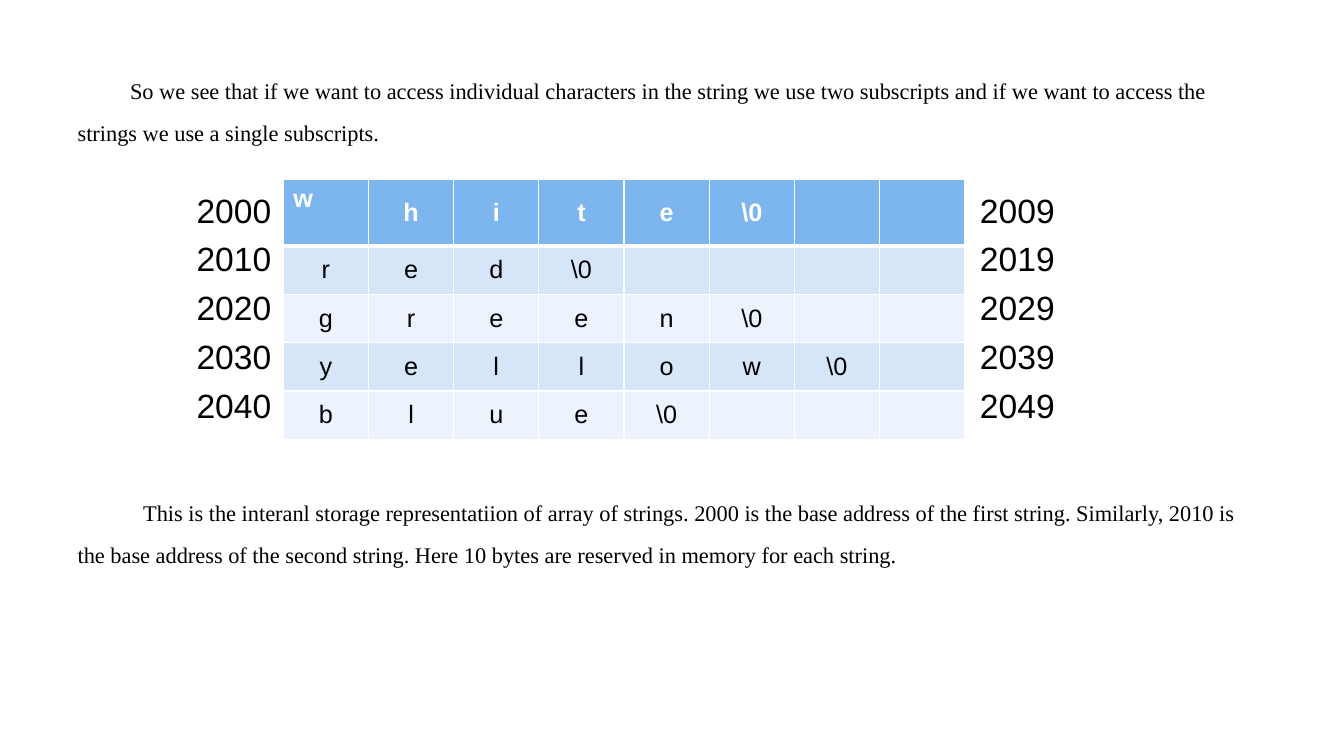
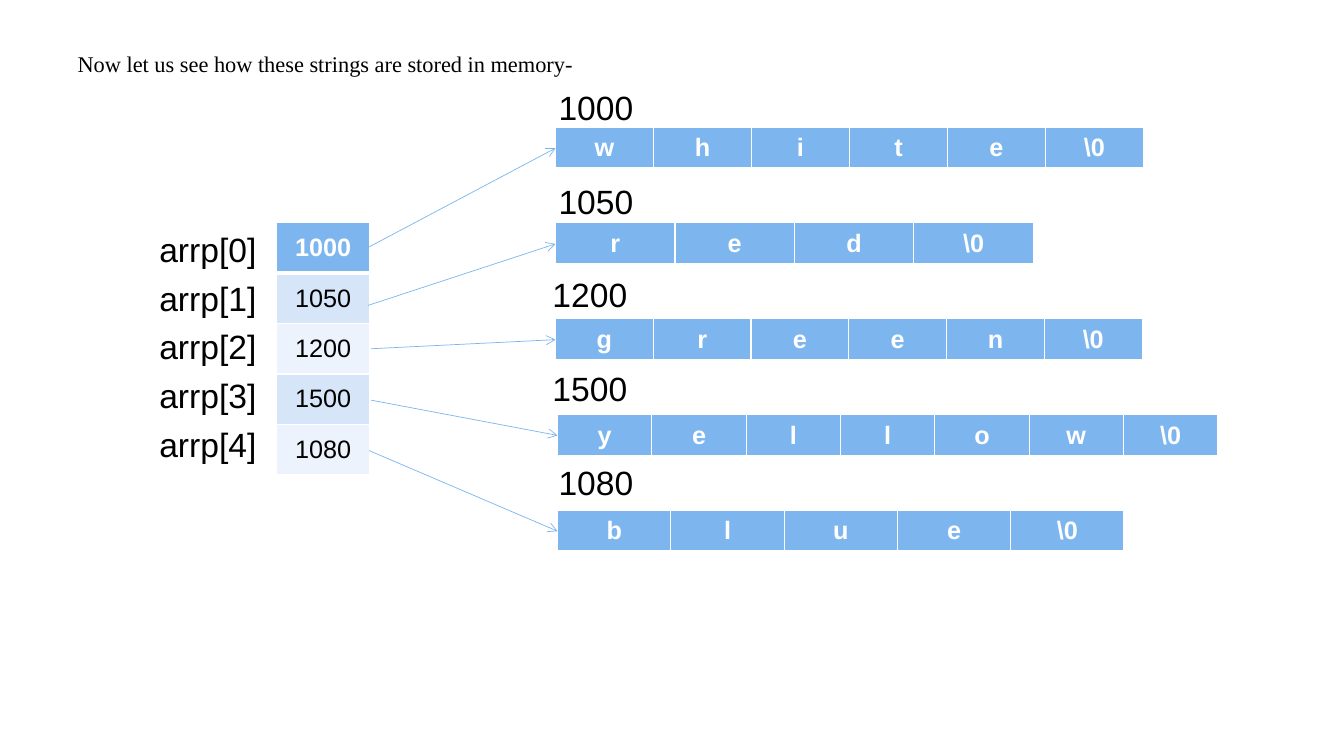
import pptx
import pptx.util
import pptx.dml.color
import pptx.enum.text
import pptx.enum.shapes
import pptx.oxml
import pptx.oxml.ns

Inches = pptx.util.Inches
Pt = pptx.util.Pt
ALIGN = pptx.enum.text.PP_ALIGN
ANCHOR = pptx.enum.text.MSO_ANCHOR

HUES = {"ink": "000000", "head": "7DB6EF", "odd": "D7E5F9", "even": "ECF3FC", "white": "FFFFFF"}
SANS, SERIF = "Arial", "Times New Roman"
NSDECL = pptx.oxml.ns.nsdecls("a")
END = "\\0"
WORDS = ["white", "red", "green", "yellow", "blue"]


def hue(name):
    return pptx.dml.color.RGBColor.from_string(HUES[name])


def add_run(para, text, face, size, tint="ink", bold=False):
    run = para.add_run()
    run.text = text
    font = run.font
    font.name, font.size, font.bold = face, Pt(size), bold
    font.color.rgb = hue(tint)


def add_frame(slide, box, wrap):
    frame = slide.shapes.add_textbox(*map(Inches, box)).text_frame
    frame.word_wrap = wrap
    frame.margin_left = frame.margin_right = frame.margin_top = frame.margin_bottom = 0
    return frame


def add_prose(slide, box, text, indent=0):
    para = add_frame(slide, box, True).paragraphs[0]
    para.line_spacing = Pt(30)
    para._p.get_or_add_pPr().set("indent", str(Inches(indent)))
    add_run(para, text, SERIF, 16)


def add_list(slide, box, lines):
    frame = add_frame(slide, box, False)
    for i, line in enumerate(lines):
        para = frame.add_paragraph() if i else frame.paragraphs[0]
        if i:
            para.space_before = Pt(6)
        add_run(para, line, SANS, 24)


def add_edges(cell, base):
    props = cell._tc.get_or_add_tcPr()
    for i, side in enumerate("LRTB"):
        width = Pt(base if side == "B" else 1)
        props.insert(i, pptx.oxml.parse_xml(
            f'<a:ln{side} {NSDECL} w="{width}"><a:solidFill>'
            f'<a:srgbClr val="{HUES["white"]}"/></a:solidFill></a:ln{side}>'))


def add_grid(slide, box, rows, tall=None):
    x, y, w, h = box
    count = len(rows[0])
    grid = slide.shapes.add_table(len(rows), count, *map(Inches, box)).table
    for col in grid.columns:
        col.width = Inches(w / count)
    for i, row in enumerate(rows):
        high = h / len(rows)
        if tall:
            high = (h - tall) / (len(rows) - 1) if i else tall
        grid.rows[i].height = Inches(high)
        for j, text in enumerate(row):
            cell = grid.cell(i, j)
            cell.vertical_anchor = ANCHOR.MIDDLE
            cell.fill.solid()
            cell.fill.fore_color.rgb = hue("head" if i == 0 else "odd" if i % 2 else "even")
            add_edges(cell, 1 if i else 3)
            para = cell.text_frame.paragraphs[0]
            para.alignment = ALIGN.CENTER
            if text:
                add_run(para, text, SANS, 18, "ink" if i else "white", i == 0)
    return grid


def add_arrow(slide, start, stop):
    line = slide.shapes.add_connector(
        pptx.enum.shapes.MSO_CONNECTOR.STRAIGHT, *map(Inches, start + stop))
    line.line.color.rgb = hue("head")
    line.line.width = Pt(0.5)
    line.line._get_or_add_ln().append(
        pptx.oxml.parse_xml(f'<a:tailEnd {NSDECL} type="arrow"/>'))
    line._element.spPr.append(pptx.oxml.parse_xml(f"<a:effectLst {NSDECL}/>"))


def spell(word, size=0):
    marks = list(word) + [END]
    return marks + [""] * (size - len(marks))


def build_block(slide, box):
    x, y, w, h = box
    grid = add_grid(slide, box, [spell(word, 8) for word in WORDS], 0.66)
    first = grid.cell(0, 0)
    first.vertical_anchor = ANCHOR.TOP
    first.text_frame.paragraphs[0].alignment = ALIGN.LEFT
    bases = range(2000, 2050, 10)
    for left, shift in ((x - 0.86, 0), (x + w + 0.15, 9)):
        add_list(slide, (left, y + 0.1, 0.8, 2.3), [str(base + shift) for base in bases])


def build_links(slide, box):
    x, y, w, h = box
    spots = ["1000", "1050", "1200", "1500", "1080"]
    add_list(slide, (x, y + 1.41, 1, 2.3), [f"arrp[{i}]" for i in range(5)])
    add_grid(slide, (x + 1.16, y + 1.35, 0.93, 2.5), [[spot] for spot in spots])
    tags = [5.54, 5.54, 5.48, 5.48, 5.54]
    lefts = [5.51, 5.51, 5.51, 5.53, 5.53]
    widths = [5.83, 4.74, 5.82, 6.55, 5.62]
    starts = [(3.66, 2.45), (3.65, 3.03), (3.68, 3.46), (3.68, 3.97), (3.66, 4.47)]
    for i, (word, spot) in enumerate(zip(WORDS, spots)):
        top = y + 0.4 + 0.95 * i
        add_list(slide, (tags[i], y + 0.93 * i, 0.8, 0.38), [spot])
        add_grid(slide, (lefts[i], top, widths[i], 0.42), [spell(word)])
        add_arrow(slide, starts[i], (lefts[i], top + 0.21))


def main():
    deck = pptx.Presentation()
    deck.slide_width, deck.slide_height = Inches(13.33), Inches(7.5)
    blank = deck.slide_layouts[6]

    slide = deck.slides.add_slide(blank)
    add_prose(slide, (0.77, 0.62, 11.8, 0.84),
              "So we see that if we want to access individual characters in the string we use "
              "two subscripts and if we want to access the strings we use a single subscripts.", 0.52)
    build_block(slide, (2.81, 1.78, 6.76, 2.58))
    add_prose(slide, (0.77, 4.8, 11.8, 0.84),
              "This is the interanl storage representatiion of array of strings. 2000 is the base "
              "address of the first string. Similarly, 2010 is the base address of the second "
              "string. Here 10 bytes are reserved in memory for each string.", 0.65)

    slide = deck.slides.add_slide(blank)
    add_prose(slide, (0.77, 0.35, 11.8, 0.42),
              "Now let us see how these strings are stored in memory-")
    build_links(slide, (1.58, 0.86, 10.5, 4.62))
    deck.save("out.pptx")


if __name__ == "__main__":
    main()
